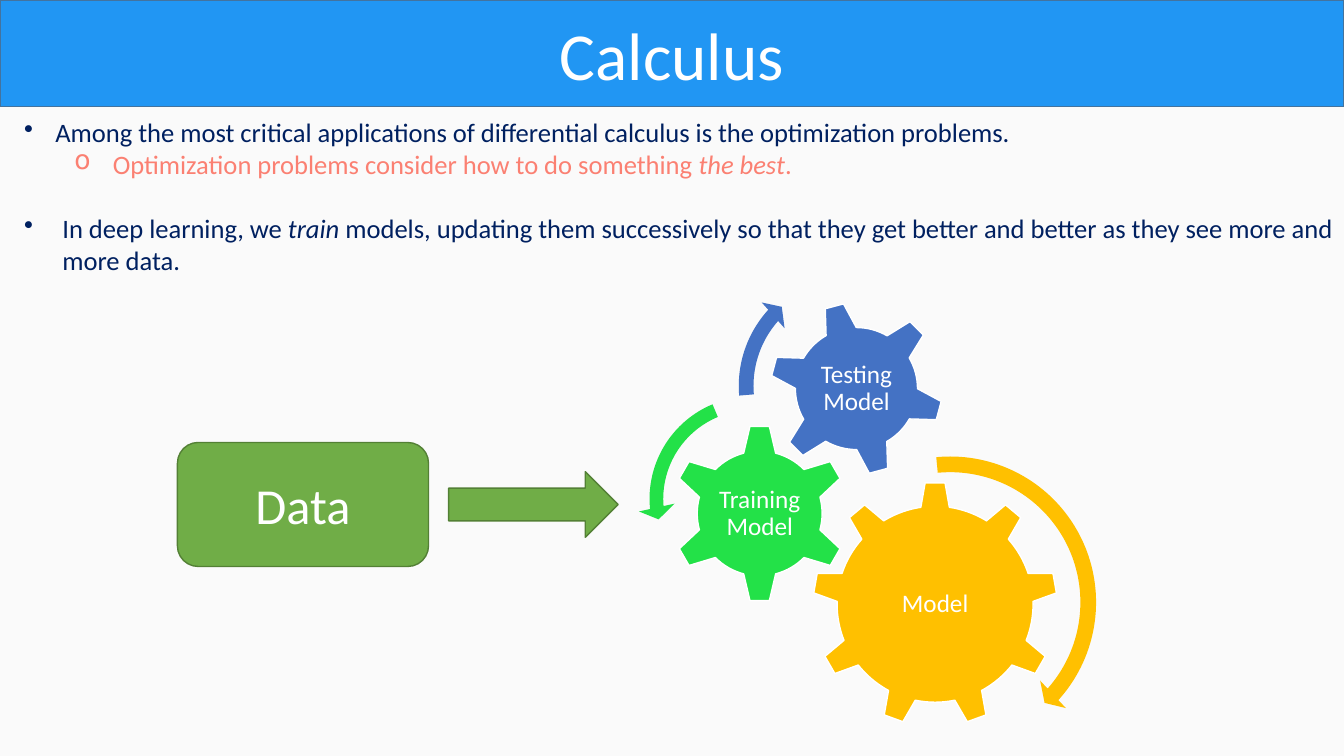
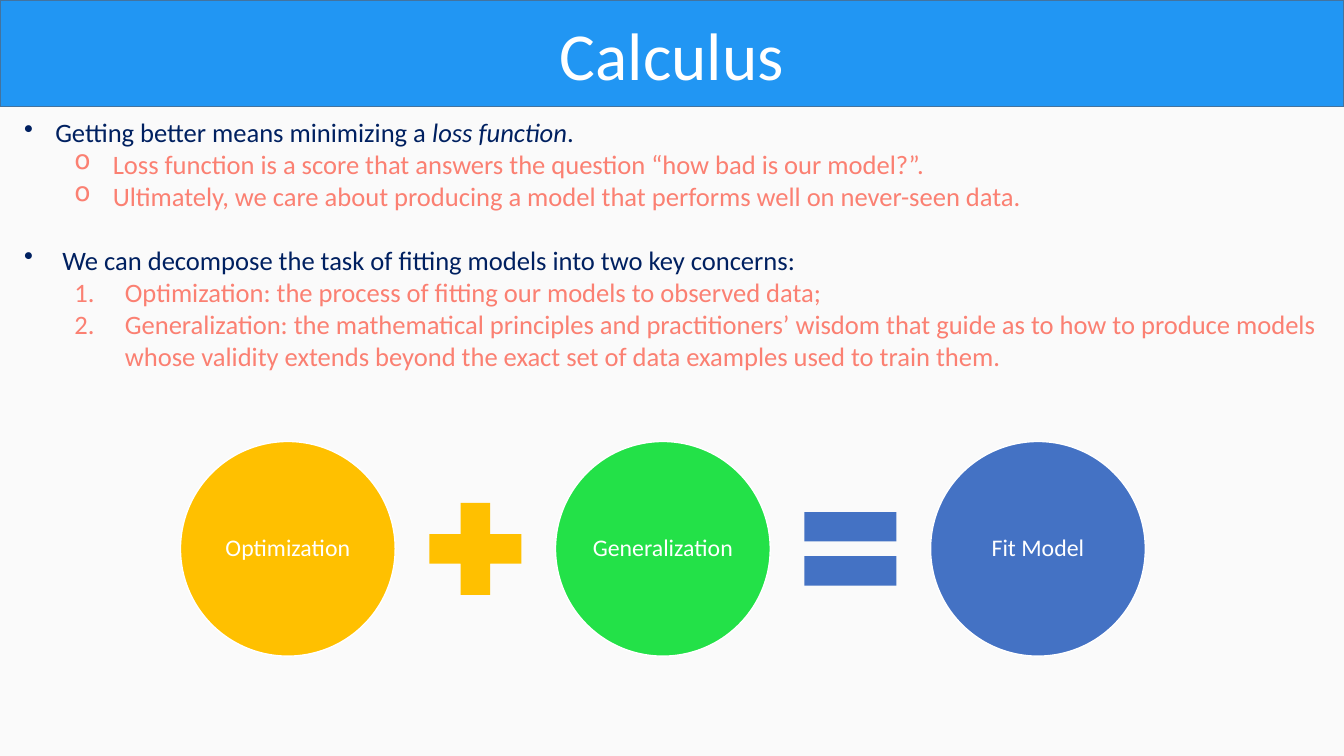
from dataclasses import dataclass

from lxml import etree
from pptx import Presentation
from pptx.dml.color import RGBColor
from pptx.enum import shapes, text
from pptx.oxml import ns
from pptx.util import Inches, Pt

SHAPE = shapes.MSO_SHAPE


@dataclass(frozen=True)
class Theme:
    font: str = "Calibri"
    background: str = "FAFAFA"
    band: str = "2196F3"
    band_edge: str = "43739E"
    navy: str = "002060"
    coral: str = "FB8072"
    white: str = "FFFFFF"
    amber: str = "FFC000"
    lime: str = "23E148"
    blue: str = "4472C4"
    green: str = "70AD47"
    green_edge: str = "538035"
    title_size: float = 48
    data_size: float = 36
    body_size: float = 19
    gear_size: float = 18
    circle_size: float = 17
    gap: float = 23


THEME = Theme()

BULLETS = {
    "point": (0, 0.31, 0.31, "•", THEME.navy),
    "wide point": (0, 0.38, 0.38, "•", THEME.navy),
    "detail": (1, 0.88, 0.38, "o", THEME.coral),
    "step": (1, 1.0, 0.5, None, THEME.coral),
}


class Deck:
    def __init__(self, theme):
        self.theme = theme
        self.presentation = Presentation()
        self.presentation.slide_width = Inches(13.33)
        self.presentation.slide_height = Inches(7.5)
        self.slide = None

    def new_slide(self, title):
        self.slide = self.presentation.slides.add_slide(self.presentation.slide_layouts[6])
        fill = self.slide.background.fill
        fill.solid()
        fill.fore_color.rgb = RGBColor.from_string(self.theme.background)
        band = self.shape(SHAPE.RECTANGLE, 0, 0, 13.33, 1.06, self.theme.band, self.theme.band_edge)
        self.caption(band, title, self.theme.title_size)

    def style(self, paragraph, size, color):
        font = paragraph.font
        font.name = self.theme.font
        font.size = Pt(size)
        font.color.rgb = RGBColor.from_string(color)

    def shape(self, kind, left, top, width, height, fill, edge=None, adjustments=(), rotation=0):
        shape = self.slide.shapes.add_shape(
            kind, Inches(left), Inches(top), Inches(width), Inches(height))
        shape.shadow.inherit = False
        shape.rotation = rotation
        shape.fill.solid()
        shape.fill.fore_color.rgb = RGBColor.from_string(fill)
        if edge:
            shape.line.color.rgb = RGBColor.from_string(edge)
            shape.line.width = Pt(1)
        else:
            shape.line.fill.background()
        for index, value in enumerate(adjustments):
            shape.adjustments[index] = value
        return shape

    def caption(self, holder, words, size, inset=None, line_spacing=None):
        frame = holder.text_frame
        frame.word_wrap = True
        frame.vertical_anchor = text.MSO_ANCHOR.MIDDLE
        if inset is not None:
            frame.margin_left = frame.margin_right = Inches(inset)
            frame.margin_top = frame.margin_bottom = Inches(inset)
        paragraph = frame.paragraphs[0]
        paragraph.text = words
        paragraph.alignment = text.PP_ALIGN.CENTER
        if line_spacing:
            paragraph.line_spacing = line_spacing
        self.style(paragraph, size, self.theme.white)

    def gear(self, kind, left, top, size, color, words, label, rotation=0):
        self.shape(kind, left, top, size, size, color, self.theme.white, rotation=rotation)
        inset = (size - label) / 2
        holder = self.slide.shapes.add_textbox(
            Inches(left + inset), Inches(top + inset), Inches(label), Inches(label))
        self.caption(holder, words, self.theme.gear_size, 0.03, 0.9)

    def circle(self, left, top, size, color, words):
        circle = self.shape(SHAPE.OVAL, left, top, size, size, color, self.theme.white)
        self.caption(circle, words, self.theme.circle_size, 0.02, 0.9)

    def bullet(self, paragraph, kind):
        level, margin, hanging, mark, color = BULLETS[kind]
        paragraph.level = level
        properties = paragraph._p.get_or_add_pPr()
        properties.set("marL", str(Inches(margin)))
        properties.set("indent", str(-Inches(hanging)))
        bullet_color = etree.SubElement(properties, ns.qn("a:buClr"))
        etree.SubElement(bullet_color, ns.qn("a:srgbClr"), val=color)
        if mark:
            etree.SubElement(properties, ns.qn("a:buChar"), char=mark)
        else:
            etree.SubElement(properties, ns.qn("a:buAutoNum"), type="arabicPeriod")
        self.style(paragraph, self.theme.body_size, color)

    def body(self, height, sections):
        frame = self.slide.shapes.add_textbox(
            Inches(0.14), Inches(1.1), Inches(13.19), Inches(height)).text_frame
        frame.word_wrap = True
        frame.margin_right = 0
        paragraph = None
        for section_index, section in enumerate(sections):
            for line_index, (kind, words) in enumerate(section):
                paragraph = frame.add_paragraph() if paragraph else frame.paragraphs[0]
                self.bullet(paragraph, kind)
                if section_index and not line_index:
                    paragraph.space_before = Pt(self.theme.gap)
                for part_index, part in enumerate(words.split("*")):
                    run = paragraph.add_run()
                    run.text = part
                    if part_index % 2:
                        run.font.italic = True


def training_slide(deck):
    theme = deck.theme
    deck.new_slide("Calculus")
    deck.body(1.7, [
        [("point", "Among the most critical applications of differential calculus is the "
                   "optimization problems."),
         ("detail", "Optimization problems consider how to do something *the best*.")],
        [("wide point", "In deep learning, we *train* models, updating them successively so that "
                        "they get better and better as they see more and more data.")],
    ])
    deck.gear(SHAPE.GEAR_9, 8.06, 4.78, 2.43, theme.amber, "Model", 1.45)
    deck.gear(SHAPE.GEAR_6, 6.65, 4.21, 1.77, theme.lime, "Training Model", 0.88)
    deck.gear(SHAPE.GEAR_6, 7.63, 2.99, 1.73, theme.blue, "Testing Model", 0.97, 345)
    turns = [
        (SHAPE.CIRCULAR_ARROW, 7.87, 4.42, 3.11, theme.amber, (0.05, 2.99, 25.13, 158.69, 0.06)),
        (SHAPE.LEFT_CIRCULAR_ARROW, 6.33, 3.82, 2.26, theme.lime,
         (0.06, 4.3, 104.89, 148.38, 0.08)),
        (SHAPE.CIRCULAR_ARROW, 7.23, 2.61, 2.44, theme.blue, (0.06, 3.94, 133.14, 105.08, 0.07)),
    ]
    for kind, left, top, size, color, bend in turns:
        deck.shape(kind, left, top, size, size, color, adjustments=bend)
    data = deck.shape(SHAPE.ROUNDED_RECTANGLE, 1.76, 4.39, 2.49, 1.23,
                      theme.green, theme.green_edge)
    deck.caption(data, "Data", theme.data_size)
    deck.shape(SHAPE.RIGHT_ARROW, 4.45, 4.68, 1.68, 0.65, theme.green, theme.green_edge)


def fitting_slide(deck):
    theme = deck.theme
    deck.new_slide("Calculus")
    deck.body(2.66, [
        [("point", "Getting better means minimizing a *loss function*."),
         ("detail", "Loss function is a score that answers the question “how bad is our model?”."),
         ("detail", "Ultimately, we care about producing a model that performs well on "
                    "never-seen data.")],
        [("wide point", "We can decompose the task of fitting models into two key concerns:"),
         ("step", "Optimization: the process of fitting our models to observed data;"),
         ("step", "Generalization: the mathematical principles and practitioners’ wisdom that "
                  "guide as to how to produce models whose validity extends beyond the exact set "
                  "of data examples used to train them.")],
    ])
    left, top, diameter, sign, pitch = 1.79, 4.38, 2.13, 1.24, 3.72
    terms = [("Optimization", theme.amber), ("Generalization", theme.lime),
             ("Fit Model", theme.blue)]
    for index, (words, color) in enumerate(terms):
        deck.circle(left + index * pitch, top, diameter, color, words)
    signs = [(SHAPE.MATH_PLUS, theme.amber), (SHAPE.MATH_EQUAL, theme.blue)]
    for index, (kind, color) in enumerate(signs):
        middle = left + diameter / 2 + (index + 0.5) * pitch
        deck.shape(kind, middle - sign / 2, top + (diameter - sign) / 2, sign, sign, color)


def main():
    deck = Deck(THEME)
    training_slide(deck)
    fitting_slide(deck)
    deck.presentation.save("out.pptx")


if __name__ == "__main__":
    main()
